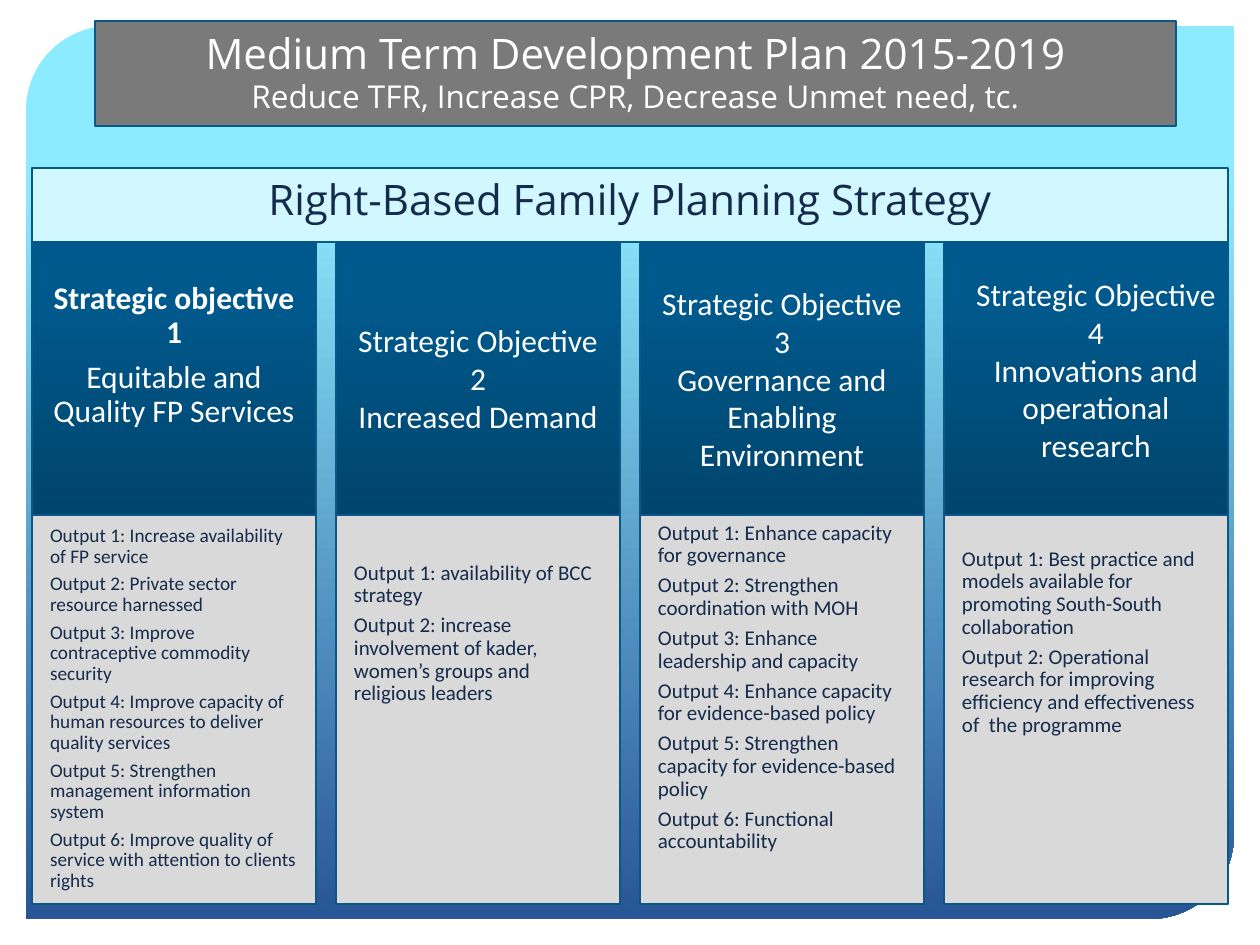
from dataclasses import dataclass

from pptx import Presentation
from pptx.dml.color import RGBColor
from pptx.enum.shapes import MSO_SHAPE
from pptx.enum.text import MSO_ANCHOR, PP_ALIGN
from pptx.util import Emu, Pt

PIXEL = 914400 // 126
HUES = {
    "white": "FFFFFF", "navy": "142B4B", "edge": "095886", "title": "7A7A7A",
    "banner": "D1F7FF", "body": "D9D9D9", "sky": "8DEBFF", "deep": "295696",
    "dark": "00456D", "blue": "00598D",
}
LEFT, PITCH, WIDE = 32, 304, 284
HEAD_TOP, HEAD_TALL = 242, 273
BODY_TOP, BODY_TALL = 515, 389
PAD = 18


@dataclass
class Style:
    """Look of the text in a box."""
    font: str
    hue: str
    sizes: tuple[int, ...]
    inset: tuple[int, int, int] = (12, 6, 12)
    align: PP_ALIGN = PP_ALIGN.CENTER
    tight: bool = False
    bold: bool = False


@dataclass
class Column:
    """One objective with its outputs."""
    head: list[str]
    head_pad: int
    outputs: list[str]
    body_pad: int
    size: int = 12
    shift: int = 0
    strong: bool = False


COLUMNS = [
    Column(
        ["Strategic objective 1", "Equitable and Quality FP Services"], 40,
        ["Increase availability of FP service",
         "Private sector resource harnessed",
         "Improve contraceptive commodity security",
         "Improve capacity of human resources to deliver quality services",
         "Strengthen management information system",
         "Improve quality of service with attention to clients rights"],
        11, size=11, strong=True),
    Column(
        ["Strategic Objective 2", "Increased Demand"], 79,
        ["availability of BCC strategy",
         "increase involvement of kader, women’s groups and religious leaders"],
        47),
    Column(
        ["Strategic Objective 3", "Governance and Enabling Environment"], 42,
        ["Enhance capacity for governance",
         "Strengthen coordination with MOH",
         "Enhance leadership and capacity",
         "Enhance capacity for evidence-based policy",
         "Strengthen capacity for evidence-based policy",
         "Functional accountability"],
        7),
    Column(
        ["Strategic Objective 4", "Innovations and operational research"], 33,
        ["Best practice and models available for promoting South-South collaboration",
         "Operational research for improving efficiency and effectiveness of  the programme"],
        33, shift=10),
]


def px(count: int) -> Emu:
    """Turn pixels into EMU."""
    return Emu(count * PIXEL)


def tint(name: str) -> RGBColor:
    """Look up a colour."""
    return RGBColor.from_string(HUES[name])


def add_box(slide, area: tuple[int, int, int, int], hue: str | None = None,
            kind: MSO_SHAPE = MSO_SHAPE.RECTANGLE):
    """Draw an outlined box, filled when a colour is named."""
    box = slide.shapes.add_shape(kind, *map(px, area))
    box.shadow.inherit = False
    box.line.color.rgb = tint("edge")
    box.line.width = Pt(0.75)
    if hue:
        box.fill.solid()
        box.fill.fore_color.rgb = tint(hue)
    return box


def blend(box, angle: int, stops: list[tuple[float, str]]) -> None:
    """Fill a box with a gradient of two stops."""
    box.fill.gradient()
    box.fill.gradient_angle = angle
    for stop, (place, hue) in zip(box.fill.gradient_stops, stops):
        stop.position = place
        stop.color.rgb = tint(hue)


def write(box, lines: list[str], style: Style) -> None:
    """Set the text of a box from its top edge."""
    frame = box.text_frame
    frame.text = "\n".join(lines)
    frame.word_wrap = True
    frame.vertical_anchor = MSO_ANCHOR.TOP
    frame.margin_left, frame.margin_top, frame.margin_right = map(px, style.inset)
    frame.margin_bottom = 0
    for rank, para in enumerate(frame.paragraphs):
        size = style.sizes[min(rank, len(style.sizes) - 1)]
        para.alignment = style.align
        if style.tight:
            para.line_spacing = 0.9
            para.space_after = Pt(round(size * 0.35, 1))
        for run in para.runs:
            run.font.name = style.font
            run.font.size = Pt(size)
            run.font.bold = style.bold and rank == 0
            run.font.color.rgb = tint(style.hue)


def add_column(slide, left: int, col: Column) -> None:
    """Draw an objective above its outputs."""
    head = add_box(slide, (left, HEAD_TOP, WIDE, HEAD_TALL))
    blend(head, 90, [(0, "dark"), (0.8, "blue")])
    write(head, col.head, Style(
        "Calibri", "white", (18,),
        (PAD + col.shift, col.head_pad, PAD - col.shift),
        tight=col.strong, bold=col.strong))
    body = add_box(slide, (left, BODY_TOP, WIDE, BODY_TALL), "body")
    lines = [f"Output {rank}: {text}" for rank, text in enumerate(col.outputs, 1)]
    write(body, lines, Style(
        "Calibri", "navy", (col.size,), (PAD, col.body_pad, PAD),
        PP_ALIGN.LEFT, tight=True))


def main() -> None:
    """Build and save the slide."""
    deck = Presentation()
    deck.slide_width, deck.slide_height = px(1260), px(945)
    slide = deck.slides.add_slide(deck.slide_layouts[6])

    back = add_box(slide, (26, 26, 1208, 893), kind=MSO_SHAPE.ROUND_2_DIAG_RECTANGLE)
    back.adjustments[0], back.adjustments[1] = 0.094, 0
    back.line.fill.background()
    blend(back, 270, [(0.17, "sky"), (1, "deep")])

    title = add_box(slide, (95, 21, 1081, 105), "title")
    write(title, ["Medium Term Development Plan 2015-2019",
                  "Reduce TFR, Increase CPR, Decrease Unmet need, tc."],
          Style("Open Sans", "white", (24, 18)))

    for rank, col in enumerate(COLUMNS):
        add_column(slide, LEFT + rank * PITCH, col)

    span = PITCH * (len(COLUMNS) - 1) + WIDE
    banner = add_box(slide, (LEFT, 168, span, 74), "banner")
    write(banner, ["Right-Based Family Planning Strategy"],
          Style("Open Sans", "navy", (24,)))
    deck.save("out.pptx")


main()
